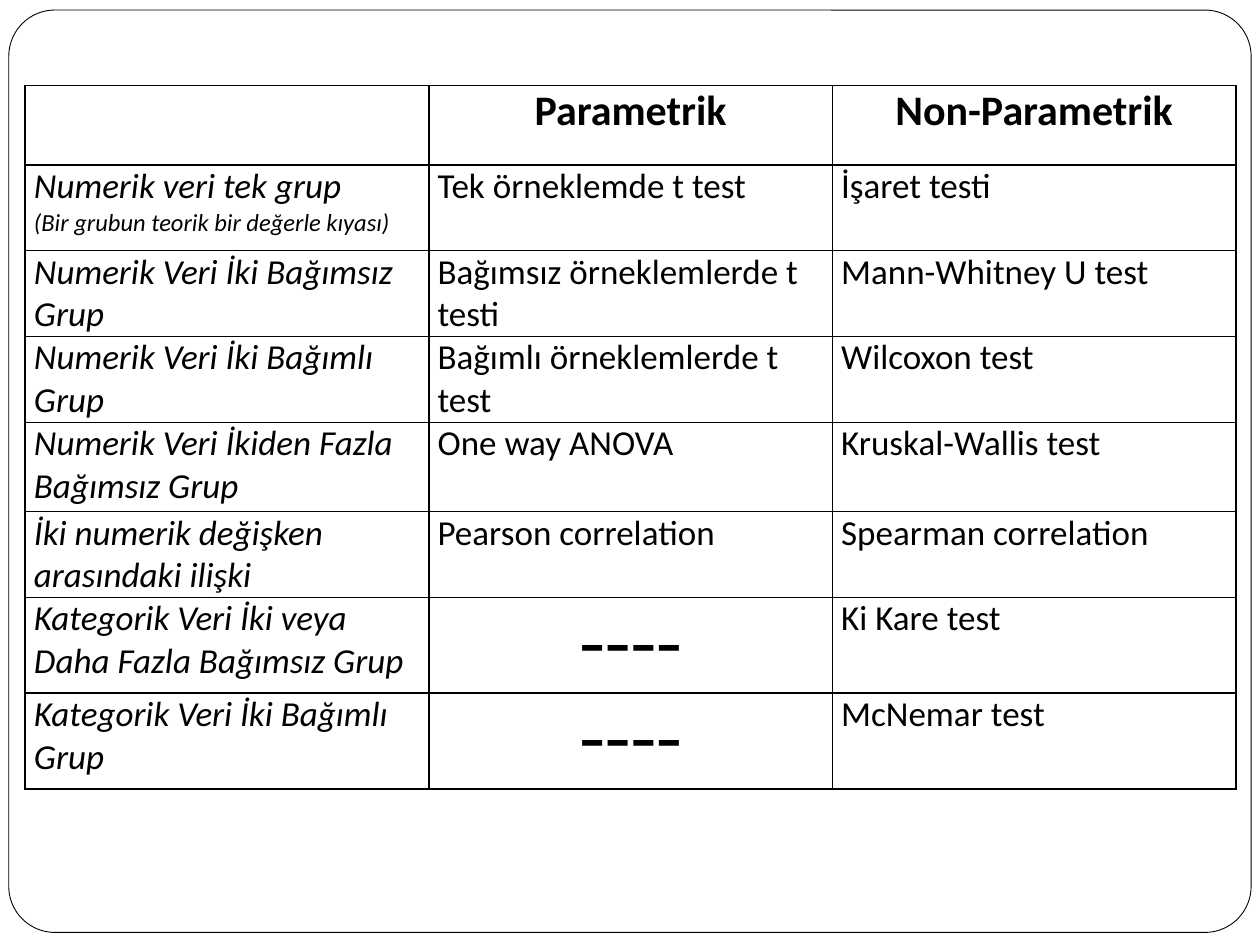
"""Builds a slide with a table of parametric and non-parametric tests."""
from lxml import etree
from pptx import Presentation
from pptx.dml.color import RGBColor
from pptx.enum.shapes import MSO_SHAPE
from pptx.enum.text import PP_ALIGN
from pptx.oxml.ns import qn
from pptx.util import Inches, Pt

ROUNDED = MSO_SHAPE.ROUNDED_RECTANGLE
LEFT, CENTER = PP_ALIGN.LEFT, PP_ALIGN.CENTER

COLORS = {"paper": "FFFFFF", "ink": "000000"}
NO_TEST = "----"
HEADERS = ["", "Parametrik", "Non-Parametrik"]
SUBTITLE = "(Bir grubun teorik bir değerle kıyası)"
TESTS = [
    ("Numerik veri tek grup", "Tek örneklemde t test", "İşaret testi"),
    ("Numerik Veri İki Bağımsız Grup", "Bağımsız örneklemlerde t testi", "Mann-Whitney U test"),
    ("Numerik Veri İki Bağımlı Grup", "Bağımlı örneklemlerde t test", "Wilcoxon test"),
    ("Numerik Veri İkiden Fazla Bağımsız Grup", "One way ANOVA", "Kruskal-Wallis test"),
    ("İki numerik değişken arasındaki ilişki", "Pearson correlation", "Spearman correlation"),
    ("Kategorik Veri İki veya Daha Fazla Bağımsız Grup", NO_TEST, "Ki Kare test"),
    ("Kategorik Veri İki Bağımlı Grup", NO_TEST, "McNemar test"),
]
ROW_HEIGHTS = [0.63, 0.68, 0.68, 0.52, 0.71, 0.68, 0.76, 0.76]
TABLE_LEFT, TABLE_TOP, TABLE_WIDTH = 0.2, 0.68, 9.61


def color(name):
    return RGBColor.from_string(COLORS[name])


def write(paragraph, text, size=20, font="Calibri", bold=False, italic=False, align=LEFT):
    paragraph.alignment = align
    run = paragraph.add_run()
    run.text = text
    run.font.name = font
    run.font.size = Pt(size)
    run.font.bold = bold
    run.font.italic = italic
    run.font.color.rgb = color("ink")


def style_cell(cell):
    cell.margin_left = cell.margin_right = Inches(0.07)
    cell.margin_top = cell.margin_bottom = 0
    properties = cell._tc.get_or_add_tcPr()
    for side in ("a:lnL", "a:lnR", "a:lnT", "a:lnB"):
        border = etree.SubElement(properties, qn(side), w=str(Pt(1)))
        fill = etree.SubElement(border, qn("a:solidFill"))
        etree.SubElement(fill, qn("a:srgbClr"), val=COLORS["ink"])
    cell.fill.solid()
    cell.fill.fore_color.rgb = color("paper")


def text_format(row, column, text):
    if row == 0:
        return {"size": 24, "bold": True, "align": CENTER}
    if text == NO_TEST:
        return {"size": 44, "font": "Times New Roman", "align": CENTER}
    return {"italic": column == 0}


def add_frame(slide):
    frame = slide.shapes.add_shape(ROUNDED, Inches(0.07), Inches(0.08), Inches(9.86), Inches(7.32))
    frame.adjustments[0] = 0.05
    frame.shadow.inherit = False
    frame.fill.solid()
    frame.fill.fore_color.rgb = color("paper")
    frame.line.color.rgb = color("ink")
    frame.line.width = Pt(0.5)


def add_tests_table(slide):
    rows = [HEADERS, *TESTS]
    table = slide.shapes.add_table(
        len(rows), len(HEADERS), Inches(TABLE_LEFT), Inches(TABLE_TOP),
        Inches(TABLE_WIDTH), Inches(sum(ROW_HEIGHTS))).table
    table.first_row = table.horz_banding = False
    for table_row, height in zip(table.rows, ROW_HEIGHTS):
        table_row.height = Inches(height)
    for row, texts in enumerate(rows):
        for column, text in enumerate(texts):
            cell = table.cell(row, column)
            style_cell(cell)
            if text:
                write(cell.text_frame.paragraphs[0], text, **text_format(row, column, text))
    write(table.cell(1, 0).text_frame.add_paragraph(), SUBTITLE, size=14, italic=True)


def main():
    presentation = Presentation()
    presentation.slide_width, presentation.slide_height = Inches(10), Inches(7.5)
    slide = presentation.slides.add_slide(presentation.slide_layouts[6])
    add_frame(slide)
    add_tests_table(slide)
    presentation.save("out.pptx")


if __name__ == "__main__":
    main()
